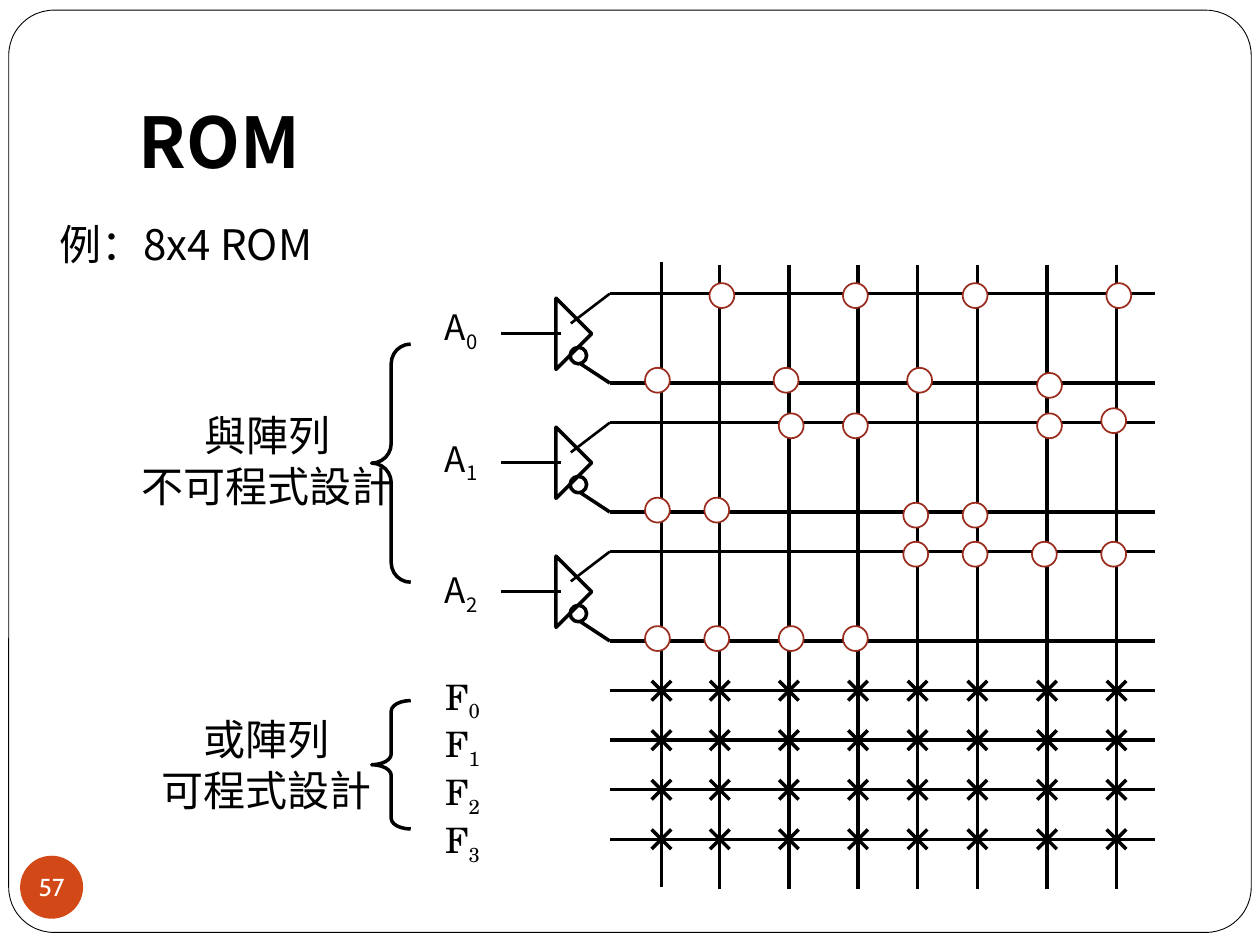
from lxml.etree import SubElement
from pptx import Presentation
from pptx.dml.color import RGBColor
from pptx.enum.shapes import MSO_CONNECTOR, MSO_SHAPE
from pptx.enum.text import MSO_ANCHOR, PP_ALIGN
from pptx.oxml.ns import qn
from pptx.util import Pt

COLORS = {"ink": "000000", "paper": "FFFFFF", "contact": "9B2D1F", "badge": "D34817"}
SANS, SERIF, NUMBER = "Noto Sans CJK JP", "TeX Gyre Schola", "Cabin"


def add_line(shapes, x1, y1, x2, y2, width=2):
    line = shapes.add_connector(MSO_CONNECTOR.STRAIGHT, Pt(x1), Pt(y1), Pt(x2), Pt(y2))
    line.line.color.rgb = RGBColor.from_string(COLORS["ink"])
    line.line.width = Pt(width)
    SubElement(line.element.spPr, qn("a:effectLst"))


def add_shape(shapes, kind, left, top, width, height, fill=None, line="ink", weight=2):
    shape = shapes.add_shape(kind, Pt(left), Pt(top), Pt(width), Pt(height))
    shape.shadow.inherit = False
    if fill:
        shape.fill.solid()
        shape.fill.fore_color.rgb = RGBColor.from_string(COLORS[fill])
    else:
        shape.fill.background()
    if line:
        shape.line.color.rgb = RGBColor.from_string(COLORS[line])
        shape.line.width = Pt(weight)
    else:
        shape.line.fill.background()
    return shape


deck = Presentation()
deck.slide_width, deck.slide_height = Pt(720), Pt(540)
slide = deck.slides.add_slide(deck.slide_layouts[5])

# Title and page frame
title = slide.shapes.title
title.left, title.top, title.width, title.height = Pt(72), Pt(21.6), Pt(612), Pt(90)
frame = title.text_frame
frame.text = "ROM"
frame.vertical_anchor = MSO_ANCHOR.BOTTOM
frame.margin_bottom = Pt(7.2)
para = frame.paragraphs[0]
para.alignment = PP_ALIGN.LEFT
title_format = {"name": SANS, "size": Pt(40), "bold": True}
for name, value in title_format.items():
    setattr(para.font, name, value)
para.font.color.rgb = RGBColor.from_string(COLORS["ink"])

border = add_shape(slide.shapes, MSO_SHAPE.ROUNDED_RECTANGLE, 5, 5.8, 710, 527, "paper", weight=0.5)
border.adjustments[0] = 0.049
title.element.addprevious(border.element)

# Page number
badge = add_shape(slide.shapes, MSO_SHAPE.OVAL, 11.5, 489, 36, 36, "badge", None)
frame = badge.text_frame
margins = ("margin_left", "margin_top", "margin_right", "margin_bottom")
for margin in margins:
    setattr(frame, margin, 0)
frame.word_wrap = False
frame.vertical_anchor = MSO_ANCHOR.MIDDLE
para = frame.paragraphs[0]
para.alignment = PP_ALIGN.CENTER
span = para.add_run()
span.text = "57"
span.font.name, span.font.size = NUMBER, Pt(14)
span.font.color.rgb = RGBColor.from_string(COLORS["paper"])

and_array = slide.shapes.add_group_shape().shapes
or_array = slide.shapes.add_group_shape().shapes

# Word lines
columns = [378, 411.3, 450.8, 490.3, 524.3, 558.5, 598.3, 638]
for index, x in enumerate(columns):
    top = 151.2 if index else 149.8
    add_line(and_array, x, top, x, top + 357.1)

# Address buffers with their true and complement lines
row_left, row_right = 348.5, 660.2
for index in range(3):
    y = 167.8 + 73.7 * index
    triangle = add_shape(and_array, MSO_SHAPE.RIGHT_TRIANGLE, 303.3, y + 8.5, 28.8, 28.8)
    triangle.rotation = 225
    add_shape(and_array, MSO_SHAPE.OVAL, 325.8, y + 30.7, 9.4, 9.4)
    add_line(and_array, 331.9, y + 40.2, row_left, y + 51.1)
    add_line(and_array, 326.2, y + 17, row_left, y, 1.5)
    add_line(and_array, 286.5, y + 22.9, 320.4, y + 22.9)
    for row in (y, y + 51.1):
        add_line(and_array, row_left, row, row_right, row)

# Fixed contacts: top -> left edges
contacts = {
    161.8: [405.4, 481.7, 550.1, 632.2],
    210.2: [368.6, 442.1, 518.4],
    213.1: [592.6],
    233.3: [629.3],
    236.2: [445, 481.7, 592.6],
    284.4: [368.6, 402.5],
    287.3: [516.2, 550.1],
    309.6: [516.2, 550.1, 589.7, 629.3],
    357.8: [368.6, 402.5, 445, 481.7],
}
for top, lefts in contacts.items():
    for left in lefts:
        add_shape(and_array, MSO_SHAPE.OVAL, left, top, 14.2, 14.2, "paper", "contact", 1)

# Output lines with programmable crosses
arm = 5.6
for index in range(4):
    y = 394.7 + 28.3 * index
    add_line(or_array, row_left, y, row_right, y)
    for x in columns:
        add_line(or_array, x + arm, y - arm, x - arm, y + arm)
        add_line(or_array, x + arm, y + arm, x - arm, y - arm)

# Braces
braces = [(and_array, 196.6, 136.1, 0.501), (or_array, 400.3, 73.4, 0.272)]
for shapes, top, height, curve in braces:
    brace = add_shape(shapes, MSO_SHAPE.LEFT_BRACE, 212.4, top, 22.3, height)
    brace.adjustments[0], brace.adjustments[1] = curve, 0.5

# Labels: shapes, box, font, size, line pitch, gap before, (text, subscript) lines
labels = [
    (slide.shapes, (22.3, 121, 167.8, 36), SANS, 24, 29, 0, [("例：8x4 ROM", "")]),
    (and_array, (245.5, 173.5, 36, 175), SANS, 20, 25, 50, [("A", str(n)) for n in range(3)]),
    (and_array, (72.7, 230.4, 159.8, 65.5), SANS, 24, 29, 0, [("與陣列", ""), ("不可程式設計", "")]),
    (or_array, (247, 382.3, 34.6, 103), SERIF, 20, None, 0, [("F", str(n)) for n in range(4)]),
    (or_array, (84.2, 403.9, 136.1, 65.5), SERIF, 24, 29, 0, [("或陣列", ""), ("可程式設計", "")]),
]
for shapes, place, font, size, pitch, gap, lines in labels:
    box = shapes.add_textbox(*[Pt(length) for length in place])
    frame = box.text_frame
    frame.word_wrap = False
    for index, (text, subscript) in enumerate(lines):
        para = frame.add_paragraph() if index else frame.paragraphs[0]
        para.alignment = PP_ALIGN.CENTER
        if pitch:
            para.line_spacing = Pt(pitch)
        if index and gap:
            para.space_before = Pt(gap)
        for part in filter(None, (text, subscript)):
            span = para.add_run()
            span.text = part
            span.font.name, span.font.size = font, Pt(size)
            span.font.color.rgb = RGBColor.from_string(COLORS["ink"])
            SubElement(span.font._element, qn("a:ea"), typeface=SANS)
            if part == subscript:
                span.font._element.set("baseline", "-25000")

deck.save("out.pptx")
